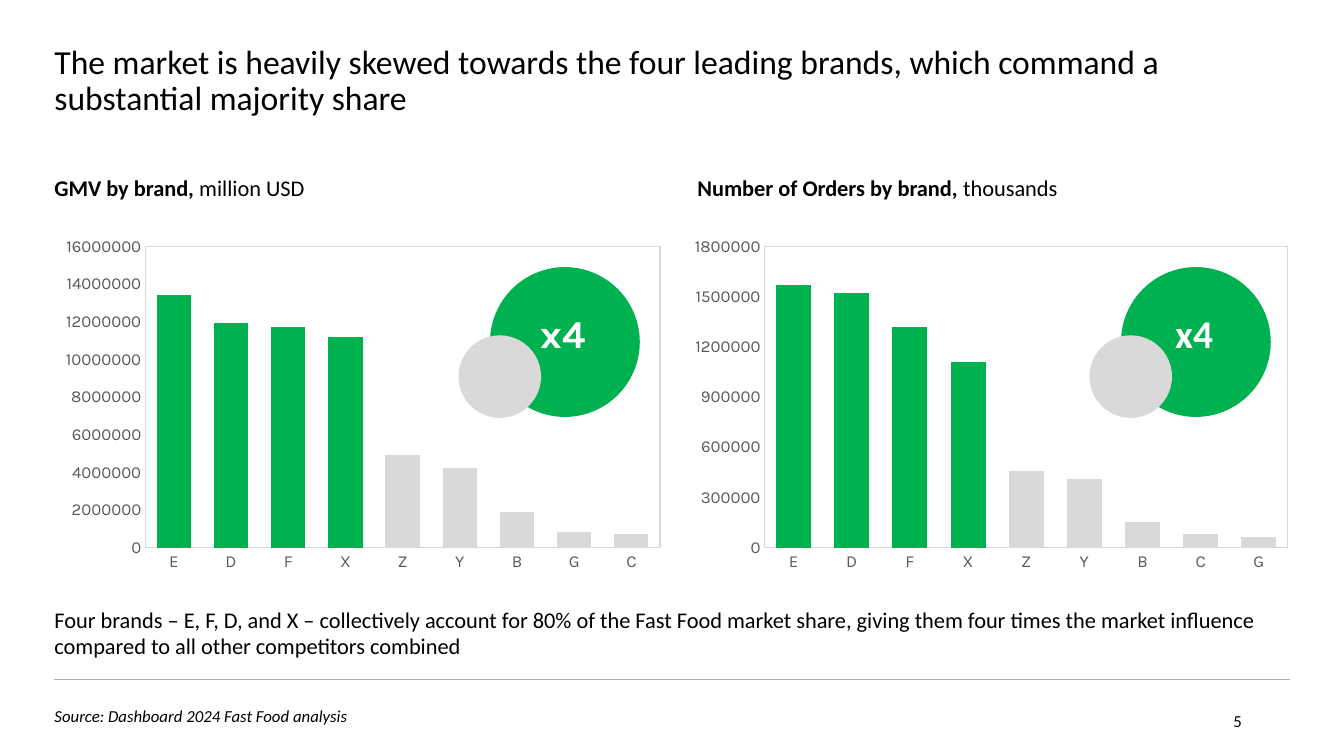
import pptx
import pptx.chart.data
import pptx.dml.color
import pptx.enum.chart
import pptx.enum.shapes
import pptx.enum.text
import pptx.oxml
import pptx.oxml.ns
import pptx.util
from pptx.util import Pt

COLORS = {
    "text": "000000",
    "leader": "00B14F",
    "other": "D9D9D9",
    "axis": "595959",
    "rule": "AEAEAE",
    "white": "FFFFFF",
}
LEFT = 38.9
WIDTH = 882.7
LEADER_COUNT = 4
ALIGN = pptx.enum.text.PP_ALIGN
MIDDLE = pptx.enum.text.MSO_ANCHOR.MIDDLE


def rgb(name):
    return pptx.dml.color.RGBColor.from_string(COLORS[name])


def style_font(font, size, color="text", face="Calibri", bold=False, italic=False):
    font.size = Pt(size)
    font.name = face
    font.bold = bold
    font.italic = italic
    font.color.rgb = rgb(color)


def add_text(shapes, box, text, size, align=ALIGN.LEFT, anchor=None, spacing=None, **style):
    textbox = shapes.add_textbox(*map(Pt, box))
    frame = textbox.text_frame
    frame.word_wrap = True
    frame.margin_left = 0
    frame.vertical_anchor = anchor
    frame.text = text
    paragraph = frame.paragraphs[0]
    paragraph.alignment = align
    paragraph.line_spacing = spacing
    style_font(paragraph.runs[0].font, size, **style)
    return paragraph


def add_heading(slide, left, measure, unit):
    paragraph = add_text(slide.shapes, (left, 121, 282, 26.6), measure, 16, bold=True)
    unit_run = paragraph.add_run()
    unit_run.text = unit
    style_font(unit_run.font, 16)


def add_circle(shapes, left, top, size, color):
    circle = shapes.add_shape(
        pptx.enum.shapes.MSO_SHAPE.OVAL, Pt(left), Pt(top), Pt(size), Pt(size))
    circle.shadow.inherit = False
    circle.fill.solid()
    circle.fill.fore_color.rgb = rgb(color)
    circle.line.fill.background()


def add_multiplier(slide, left, face):
    badge = slide.shapes.add_group_shape()
    add_circle(badge.shapes, left + 22, 190.8, 107, "leader")
    add_circle(badge.shapes, left - 0.5, 239.5, 59, "other")
    add_text(badge.shapes, (left + 49, 217.4, 57.6, 41), "x4", 28,
             align=ALIGN.CENTER, color="white", face=face, bold=True)


def frame_plot(chart, x, width):
    plot_area = chart._chartSpace.chart.plotArea
    for layout in plot_area.findall(pptx.oxml.ns.qn("c:layout")):
        plot_area.remove(layout)
    ns = pptx.oxml.ns.nsdecls("c", "a")
    plot_area.insert(0, pptx.oxml.parse_xml(
        f'<c:layout {ns}><c:manualLayout><c:layoutTarget val="inner"/>'
        '<c:xMode val="edge"/><c:yMode val="edge"/>'
        f'<c:x val="{x}"/><c:y val="0.05"/><c:w val="{width}"/><c:h val="0.862"/>'
        '</c:manualLayout></c:layout>'))
    plot_area.append(pptx.oxml.parse_xml(
        f'<c:spPr {ns}><a:noFill/><a:ln w="9525"><a:solidFill>'
        f'<a:srgbClr val="{COLORS["other"]}"/></a:solidFill></a:ln></c:spPr>'))


def style_axis(axis):
    axis.has_major_gridlines = False
    axis.major_tick_mark = pptx.enum.chart.XL_TICK_MARK.NONE
    axis.minor_tick_mark = pptx.enum.chart.XL_TICK_MARK.NONE
    style_font(axis.tick_labels.font, 12, "axis", "Karla")


def add_brand_chart(slide, left, brands, values, step, top_value, gap, plot_x, plot_width):
    data = pptx.chart.data.CategoryChartData()
    data.categories = list(brands)
    data.add_series("Series 1", values)
    chart = slide.shapes.add_chart(
        pptx.enum.chart.XL_CHART_TYPE.COLUMN_CLUSTERED,
        Pt(left), Pt(163.4), Pt(441.4), Pt(249.8), data).chart
    chart.has_title = False
    chart.has_legend = False
    style_font(chart.font, 10, face="Karla")

    style_axis(chart.category_axis)
    chart.category_axis.format.line.color.rgb = rgb("other")
    chart.category_axis.format.line.width = Pt(0.75)
    style_axis(chart.value_axis)
    chart.value_axis.format.line.fill.background()
    chart.value_axis.minimum_scale = 0
    chart.value_axis.maximum_scale = top_value
    chart.value_axis.major_unit = step

    columns = chart.plots[0]
    columns.vary_by_categories = False
    columns.gap_width = gap
    columns.overlap = -27
    series = columns.series[0]
    series.format.fill.solid()
    series.format.fill.fore_color.rgb = rgb("other")
    for index in range(LEADER_COUNT):
        fill = series.points[index].format.fill
        fill.solid()
        fill.fore_color.rgb = rgb("leader")
    frame_plot(chart, plot_x, plot_width)


def add_rule(slide, top):
    rule = slide.shapes.add_connector(
        pptx.enum.shapes.MSO_CONNECTOR.STRAIGHT,
        Pt(LEFT), Pt(top), Pt(LEFT + WIDTH), Pt(top))
    rule.line.color.rgb = rgb("rule")
    rule.line.width = Pt(0.75)
    rule._element.spPr.append(pptx.oxml.parse_xml(
        f'<a:effectLst {pptx.oxml.ns.nsdecls("a")}/>'))


def main():
    deck = pptx.Presentation()
    deck.slide_width = Pt(960)
    deck.slide_height = Pt(540)
    slide = deck.slides.add_slide(deck.slide_layouts[6])

    add_text(slide.shapes, (LEFT, 28.8, WIDTH, 49),
             "The market is heavily skewed towards the four leading brands, "
             "which command a substantial majority share", 24, spacing=0.9)

    add_brand_chart(
        slide, LEFT, "EDFXZYBGC",
        (13400000, 11900000, 11700000, 11200000, 4900000, 4200000, 1900000, 800000, 700000),
        2000000, 16000000, 67, 0.147, 0.833)
    add_heading(slide, LEFT, "GMV by brand, ", "million USD")
    add_multiplier(slide, 328, "Karla")

    add_brand_chart(
        slide, 487.4, "EDFXZYBCG",
        (1570000, 1520000, 1320000, 1110000, 460000, 410000, 150000, 80000, 60000),
        300000, 1800000, 66, 0.133, 0.847)
    add_heading(slide, 498.2, "Number of Orders by brand, ", "thousands")
    add_multiplier(slide, 778.7, "Calibri")

    add_text(slide.shapes, (LEFT, 429.1, WIDTH, 46),
             "Four brands – E, F, D, and X – collectively account for 80% of the Fast Food "
             "market share, giving them four times the market influence compared to all "
             "other competitors combined", 16)
    add_rule(slide, 485.3)
    add_text(slide.shapes, (LEFT, 499.7, 364, 23), "Source: Dashboard 2024 Fast Food analysis",
             12, anchor=MIDDLE, italic=True)
    add_text(slide.shapes, (678.2, 500.4, 216, 28.8), "5", 12, align=ALIGN.RIGHT, anchor=MIDDLE)

    deck.save("out.pptx")


if __name__ == "__main__":
    main()
